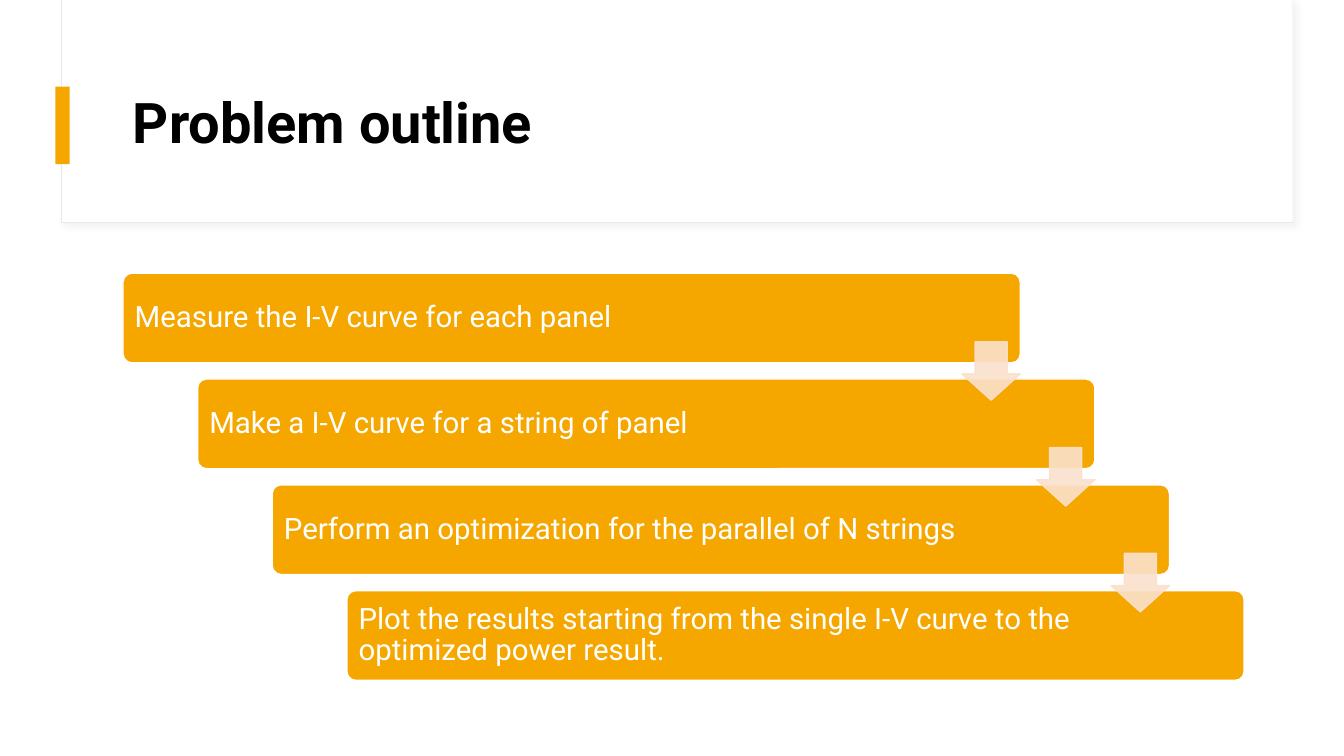
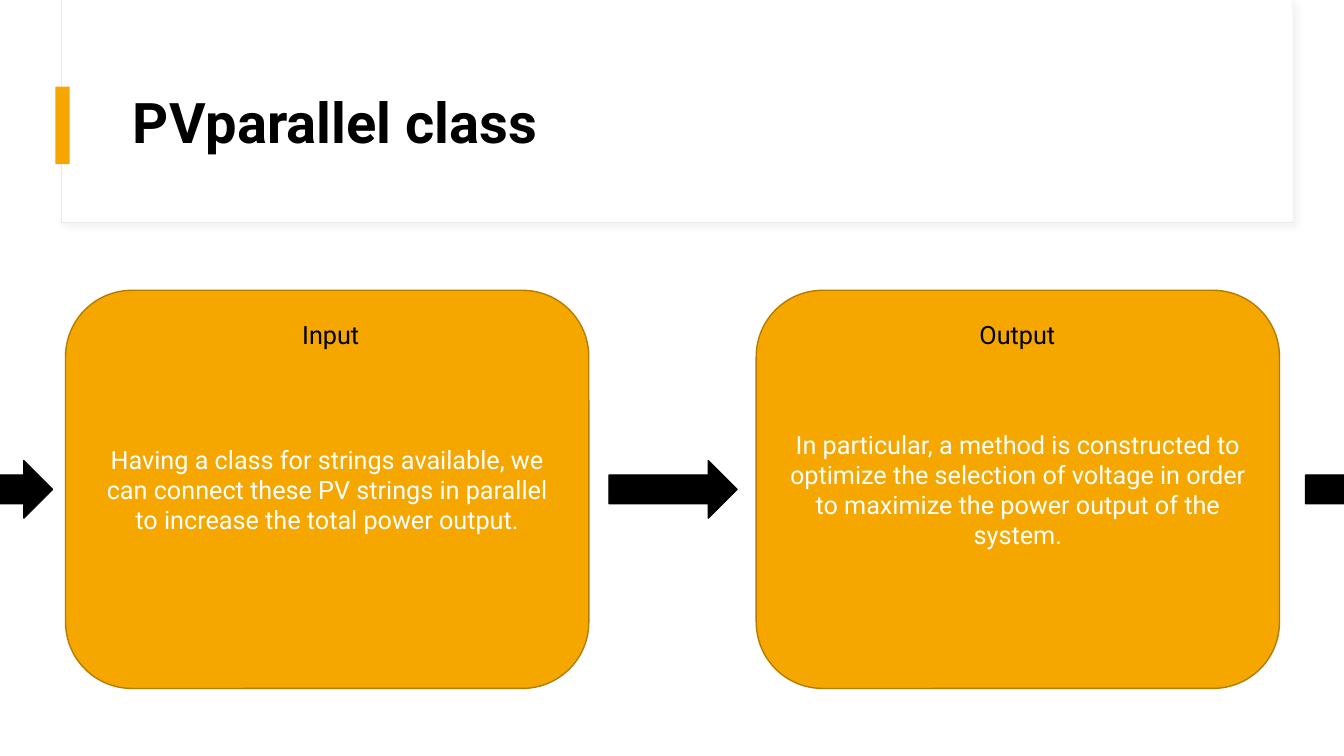
from lxml import etree
from pptx import Presentation
from pptx.dml.color import RGBColor
from pptx.enum.shapes import MSO_SHAPE
from pptx.enum.text import MSO_ANCHOR, PP_ALIGN
from pptx.oxml.ns import qn
from pptx.util import Inches, Pt

RECT, ROUNDED = MSO_SHAPE.RECTANGLE, MSO_SHAPE.ROUNDED_RECTANGLE
DOWN, RIGHT = MSO_SHAPE.DOWN_ARROW, MSO_SHAPE.RIGHT_ARROW
TOP, MIDDLE = MSO_ANCHOR.TOP, MSO_ANCHOR.MIDDLE
LEFT, CENTER = PP_ALIGN.LEFT, PP_ALIGN.CENTER

FONT = "Roboto"
COLORS = {
    "white": "FFFFFF", "black": "000000", "amber": "F5A700", "amber_dark": "B57C00",
    "peach": "FBE1CC", "frame": "E9E9E9", "shadow": "D9D9D9",
}

OUTLINE_TITLE = "Problem outline"
STEPS = [
    "Measure the I-V curve for each panel",
    "Make a I-V curve for a string of panel",
    "Perform an optimization for the parallel of N strings",
    "Plot the results starting from the single I-V curve to the optimized power result.",
]
CLASS_TITLE = "PVparallel class"
CARDS = [
    (0.65, 1.12, "Input",
     "Having a class for strings available, we can connect these PV strings in parallel "
     "to increase the total power output."),
    (7.5, 7.93, "Output",
     "In particular, a method is constructed to optimize the selection of voltage in order "
     "to maximize the power output of the system."),
]
FLOW_ARROW_LEFTS = [-0.75, 6.04, 12.95]

STEP_LEFT, STEP_TOP, STEP_DX, STEP_DY = 1.22, 2.71, 0.74, 1.05
STEP_W, STEP_H, STEP_ARROW = 8.9, 0.89, 0.58
STEP_INSETS = {"margin_left": 0.09, "margin_right": 1.4,
               "margin_top": 0.09, "margin_bottom": 0.09}


def rgb(name):
    return RGBColor.from_string(COLORS[name])


def add_box(slide, kind, box, fill, line=None, width=1, adjustments=()):
    shape = slide.shapes.add_shape(kind, *map(Inches, box))
    shape.shadow.inherit = False
    shape.fill.solid()
    shape.fill.fore_color.rgb = rgb(fill)
    if line:
        shape.line.color.rgb = rgb(line)
        shape.line.width = Pt(width)
    else:
        shape.line.fill.background()
    for index, value in enumerate(adjustments):
        shape.adjustments[index] = value
    return shape


def write(shape, text, size, color, align=LEFT, anchor=MIDDLE, bold=False,
          spacing=1.0, insets=None):
    frame = shape.text_frame
    settings = {"word_wrap": True, "vertical_anchor": anchor}
    settings.update({side: Inches(gap) for side, gap in (insets or {}).items()})
    for name, value in settings.items():
        setattr(frame, name, value)
    paragraph = frame.paragraphs[0]
    paragraph.alignment, paragraph.line_spacing = align, spacing
    run = paragraph.add_run()
    run.text = text
    for name, value in {"name": FONT, "size": Pt(size), "bold": bold}.items():
        setattr(run.font, name, value)
    run.font.color.rgb = rgb(color)


def add_text(slide, box, text, size, color, **style):
    write(slide.shapes.add_textbox(*map(Inches, box)), text, size, color, **style)


def set_alpha(shape, percent):
    for color in shape.element.spPr.iter(qn("a:srgbClr")):
        etree.SubElement(color, qn("a:alpha"), val=str(percent * 1000))


def add_soft_shadow(shape):
    effects = shape.element.spPr.find(qn("a:effectLst"))
    shadow = etree.SubElement(effects, qn("a:outerShdw"), blurRad=str(Pt(4)),
                              dist=str(Pt(3)), dir=str(45 * 60000), algn="tl")
    color = etree.SubElement(shadow, qn("a:srgbClr"), val=COLORS["shadow"])
    etree.SubElement(color, qn("a:alpha"), val="30000")


def new_slide(deck, title):
    slide = deck.slides.add_slide(deck.slide_layouts[6])
    add_soft_shadow(add_box(slide, RECT, (0.61, 0, 12.21, 2.21), "white", "frame", 0.75))
    add_box(slide, RECT, (0.62, 0, 12.2, 2.2), "white")
    add_box(slide, RECT, (0.55, 0.86, 0.14, 0.77), "amber")
    add_text(slide, (1.22, 0.6, 11.12, 1.29), title, 40, "black", bold=True, spacing=0.9)
    return slide


def build_outline(deck):
    slide = new_slide(deck, OUTLINE_TITLE)
    corners = [(STEP_LEFT + i * STEP_DX, STEP_TOP + i * STEP_DY) for i in range(len(STEPS))]
    for (left, top), text in zip(corners, STEPS):
        step = add_box(slide, ROUNDED, (left, top, STEP_W, STEP_H), "amber", "white",
                       adjustments=[0.1])
        write(step, text, 21, "white", spacing=0.9, insets=STEP_INSETS)
    for left, top in corners[:-1]:
        arrow = add_box(slide, DOWN,
                        (left + STEP_W - STEP_ARROW, top + 0.68, STEP_ARROW, STEP_ARROW),
                        "peach", "peach", adjustments=[0.55, 0.45])
        set_alpha(arrow, 90)


def build_class(deck):
    slide = new_slide(deck, CLASS_TITLE)
    for card_left, heading_left, heading, body in CARDS:
        card = add_box(slide, ROUNDED, (card_left, 2.88, 5.19, 3.95), "amber", "amber_dark")
        write(card, body, 18, "white", align=CENTER)
        add_text(slide, (heading_left, 3.12, 4.32, 0.42), heading, 18, "black",
                 align=CENTER, anchor=TOP)
    for left in FLOW_ARROW_LEFTS:
        add_box(slide, RIGHT, (left, 4.57, 1.27, 0.57), "black", "black")


def main():
    deck = Presentation()
    deck.slide_width, deck.slide_height = Inches(13.33), Inches(7.5)
    build_outline(deck)
    build_class(deck)
    deck.save("out.pptx")


if __name__ == "__main__":
    main()
